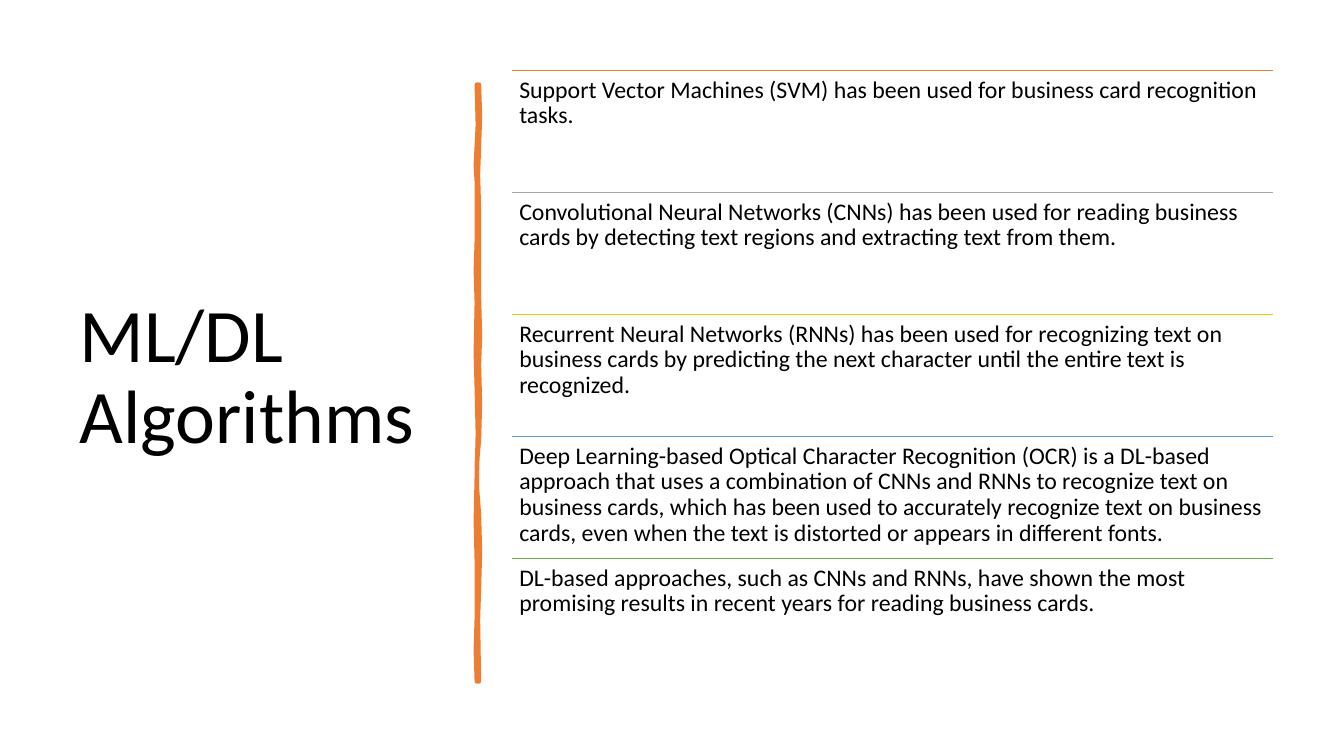
from dataclasses import dataclass

import pptx
import pptx.dml.color
import pptx.enum.shapes
import pptx.enum.text
import pptx.oxml.ns
import pptx.shapes.autoshape
import pptx.shapes.connector
import pptx.slide
import pptx.util
from lxml import etree
from pptx.util import Inches


@dataclass(frozen=True)
class Theme:
    font: str = "Calibri"
    text: str = "000000"
    orange: str = "ED7D31"
    gray: str = "A5A5A5"
    gold: str = "FFC000"
    blue: str = "5B9BD5"
    green: str = "70AD47"
    title_size: float = 54
    body_size: float = 17
    rule_width: float = 1
    brush_width: float = 3.25


@dataclass(frozen=True)
class Algorithm:
    color: str
    text: str


THEME = Theme()

ALGORITHMS = [
    Algorithm(THEME.orange, "Support Vector Machines (SVM) has been used for business card "
              "recognition tasks."),
    Algorithm(THEME.gray, "Convolutional Neural Networks (CNNs) has been used for reading business "
              "cards by detecting text regions and extracting text from them."),
    Algorithm(THEME.gold, "Recurrent Neural Networks (RNNs) has been used for recognizing text on "
              "business cards by predicting the next character until the entire text is "
              "recognized."),
    Algorithm(THEME.blue, "Deep Learning-based Optical Character Recognition (OCR) is a DL-based "
              "approach that uses a combination of CNNs and RNNs to recognize text on business "
              "cards, which has been used to accurately recognize text on business cards, even "
              "when the text is distorted or appears in different fonts."),
    Algorithm(THEME.green, "DL-based approaches, such as CNNs and RNNs, have shown the most "
              "promising results in recent years for reading business cards."),
]

LIST_LEFT, LIST_TOP, LIST_WIDTH, ROW_HEIGHT = 5.08, 0.7, 7.55, 1.21

# Brush stroke edges as (x, y): the right one runs down, the left one runs up.
BRUSH_RIGHT = [(4.75, 0.84), (4.76, 1.15), (4.75, 1.46), (4.74, 1.73), (4.75, 2.08),
               (4.75, 2.94), (4.76, 3.33), (4.75, 3.62), (4.76, 4), (4.75, 4.36),
               (4.73, 4.6), (4.73, 4.84), (4.75, 5.1), (4.76, 5.47), (4.75, 5.84),
               (4.74, 6.15), (4.75, 6.76)]
BRUSH_LEFT = [(4.73, 6.76), (4.72, 6.45), (4.73, 6.13), (4.73, 5.57), (4.72, 5.17),
              (4.73, 4.71), (4.74, 4.3), (4.73, 3.86), (4.72, 3.5), (4.73, 3),
              (4.72, 2.69), (4.73, 2.38), (4.73, 1.81), (4.72, 1.64), (4.74, 1.24),
              (4.73, 0.84)]


def rgb(color: str) -> pptx.dml.color.RGBColor:
    return pptx.dml.color.RGBColor.from_string(color)


def add_text(page: pptx.slide.Slide, text: str, left: float, top: float, width: float,
             height: float, size: float) -> pptx.shapes.autoshape.Shape:
    box = page.shapes.add_textbox(Inches(left), Inches(top), Inches(width), Inches(height))
    box.text_frame.word_wrap = True
    para = box.text_frame.paragraphs[0]
    para.text = text
    para.line_spacing = 0.9
    para.font.name = THEME.font
    para.font.size = pptx.util.Pt(size)
    para.font.color.rgb = rgb(THEME.text)
    return box


def add_title(page: pptx.slide.Slide) -> None:
    box = add_text(page, "ML/DL Algorithms", 0.69, 0.7, 3.74, 6.11, THEME.title_size)
    box.text_frame.vertical_anchor = pptx.enum.text.MSO_ANCHOR.MIDDLE


def add_brush_stroke(page: pptx.slide.Slide) -> None:
    start, *outline = [(Inches(x), Inches(y)) for x, y in BRUSH_RIGHT + BRUSH_LEFT]
    builder = page.shapes.build_freeform(*start)
    builder.add_line_segments(outline, close=True)
    stroke = builder.convert_to_shape()
    stroke.shadow.inherit = False
    stroke.fill.solid()
    stroke.fill.fore_color.rgb = rgb(THEME.orange)
    stroke.line.color.rgb = rgb(THEME.orange)
    stroke.line.width = pptx.util.Pt(THEME.brush_width)
    outline_xml = stroke.element.spPr.find(pptx.oxml.ns.qn("a:ln"))
    etree.SubElement(outline_xml, pptx.oxml.ns.qn("a:round"))


def add_rule(page: pptx.slide.Slide, top: float, color: str) -> None:
    rule = page.shapes.add_connector(
        pptx.enum.shapes.MSO_CONNECTOR.STRAIGHT,
        Inches(LIST_LEFT), Inches(top), Inches(LIST_LEFT + LIST_WIDTH), Inches(top))
    rule.line.color.rgb = rgb(color)
    rule.line.width = pptx.util.Pt(THEME.rule_width)
    etree.SubElement(rule.element.spPr, pptx.oxml.ns.qn("a:effectLst"))


def add_algorithm(page: pptx.slide.Slide, algorithm: Algorithm, top: float) -> None:
    add_rule(page, top, algorithm.color)
    box = add_text(page, algorithm.text, LIST_LEFT, top, LIST_WIDTH, ROW_HEIGHT, THEME.body_size)
    frame = box.text_frame
    frame.margin_left = frame.margin_right = Inches(0.07)
    frame.margin_top = frame.margin_bottom = Inches(0.07)


def main() -> None:
    deck = pptx.Presentation()
    deck.slide_width, deck.slide_height = Inches(13.33), Inches(7.5)
    page = deck.slides.add_slide(deck.slide_layouts[6])
    add_title(page)
    add_brush_stroke(page)
    for row, algorithm in enumerate(ALGORITHMS):
        add_algorithm(page, algorithm, LIST_TOP + row * ROW_HEIGHT)
    deck.save("out.pptx")


if __name__ == "__main__":
    main()
